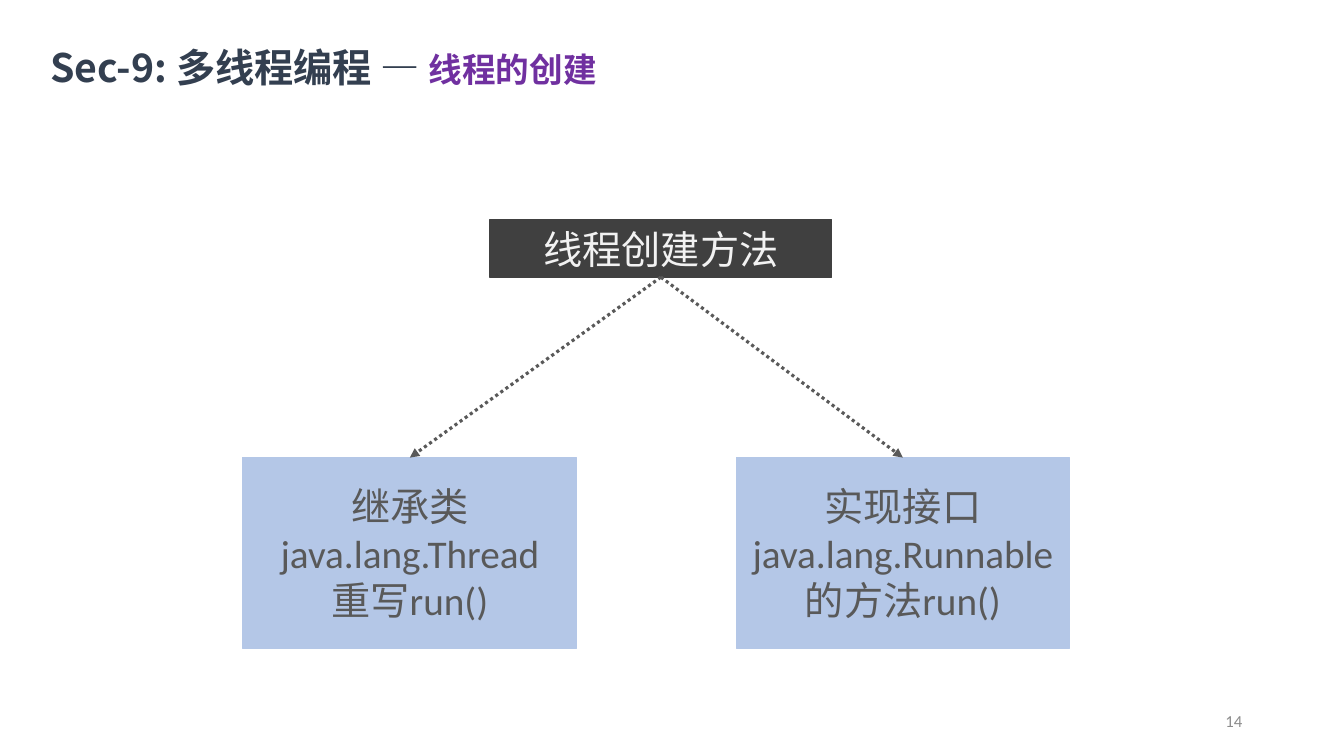
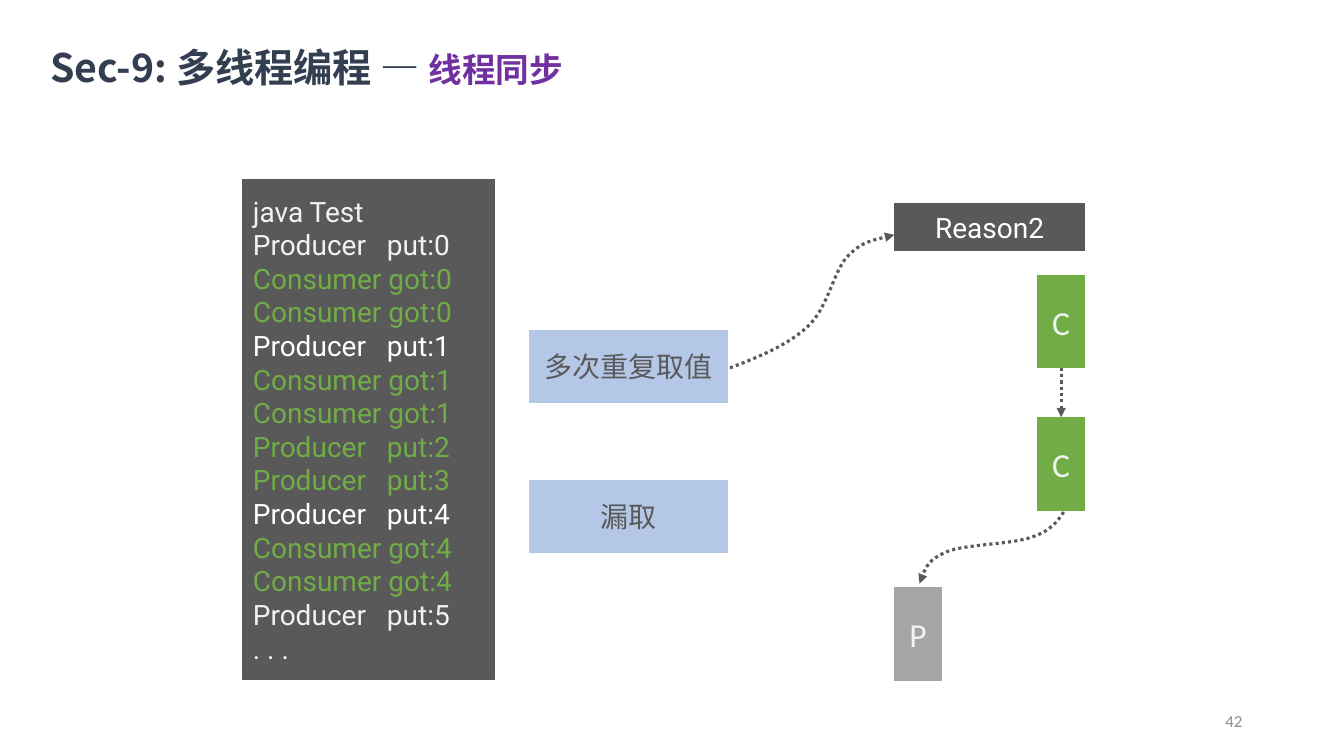
from pptx import Presentation
from pptx.dml.color import RGBColor
from pptx.enum.dml import MSO_LINE
from pptx.enum.shapes import MSO_CONNECTOR, MSO_SHAPE
from pptx.enum.text import MSO_ANCHOR, MSO_AUTO_SIZE, PP_ALIGN
from pptx.oxml.ns import qn
from pptx.util import Inches, Pt
from lxml.etree import SubElement

COLORS = {
    "navy": "333F50", "purple": "7030A0", "black": "404040", "dark": "595959",
    "blue": "B4C7E7", "green": "70AD47", "gray": "A5A5A5", "page": "8C8C8C",
    "pale": "F2F2F2", "white": "FFFFFF",
}
CJK, LATIN, CODE = "Noto Sans CJK SC", "Calibri", "Roboto"
TOP, LEFT, BOTTOM = 0, 1, 2  # connection sites of a rectangle

OUTPUT = [
    ("java Test", "pale"),
    ("Producer   put:0", "pale"),
    ("Consumer got:0", "green"),
    ("Consumer got:0", "green"),
    ("Producer   put:1", "white"),
    ("Consumer got:1", "green"),
    ("Consumer got:1", "green"),
    ("Producer   put:2", "green"),
    ("Producer   put:3", "green"),
    ("Producer   put:4", "white"),
    ("Consumer got:4", "green"),
    ("Consumer got:4", "green"),
    ("Producer   put:5", "pale"),
    (". . .", "pale"),
]


def rgb(name):
    return RGBColor.from_string(COLORS[name])


def set_font(font, name, size=None, color=None):
    font.name = name
    if size:
        font.size = Pt(size)
    if color:
        font.color.rgb = rgb(color)
    SubElement(font._element, qn("a:ea")).set("typeface", CJK)


def write_lines(tf, lines, font, size, align=PP_ALIGN.CENTER):
    """Fill a text frame with one paragraph for each (text, color) pair."""
    tf.word_wrap = True
    tf.vertical_anchor = MSO_ANCHOR.MIDDLE
    for i, (text, color) in enumerate(lines):
        p = tf.paragraphs[0] if i == 0 else tf.add_paragraph()
        p.text = text
        p.alignment = align
        set_font(p.font, font, size, color)
        for r in p.runs:
            set_font(r.font, font, size, color)


def add_box(s, box, fill, lines, font, size, align=PP_ALIGN.CENTER):
    sp = s.shapes.add_shape(MSO_SHAPE.RECTANGLE, *map(Inches, box))
    sp.shadow.inherit = False
    sp.fill.solid()
    sp.fill.fore_color.rgb = rgb(fill)
    sp.line.color.rgb = rgb(fill)
    sp.line.width = Pt(0.75)
    write_lines(sp.text_frame, lines, font, size, align)
    return sp


def style_arrow(sp):
    sp.line.color.rgb = rgb("dark")
    sp.line.width = Pt(2.25)
    sp.line.dash_style = MSO_LINE.ROUND_DOT
    props = sp._element.spPr
    SubElement(props.find(qn("a:ln")), qn("a:tailEnd")).set("type", "triangle")
    if props.find(qn("a:effectLst")) is None:
        SubElement(props, qn("a:effectLst"))


def add_arrow(s, start, end):
    """Draw a straight arrow from the bottom of one box to the top of another."""
    line = s.shapes.add_connector(MSO_CONNECTOR.STRAIGHT, 0, 0, 0, 0)
    line.begin_connect(start, BOTTOM)
    line.end_connect(end, TOP)
    style_arrow(line)


def add_curved_arrow(s, origin, points):
    """Draw Bezier curves; after the first, each three points make one curve."""
    x, y = origin
    start, *rest = [(Inches(x + dx), Inches(y + dy)) for dx, dy in points]
    builder = s.shapes.build_freeform(*start)
    builder.add_line_segments(rest, close=False)
    sp = builder.convert_to_shape()
    outline = sp._element.find(".//" + qn("a:path"))
    segments = outline.findall(qn("a:lnTo"))
    for i in range(0, len(segments), 3):
        curve = SubElement(outline, qn("a:cubicBezTo"))
        for segment in segments[i:i + 3]:
            curve.append(segment[0])
            outline.remove(segment)
    sp.fill.background()
    sp.shadow.inherit = False
    style_arrow(sp)


def add_slide(prs, topic, number):
    s = prs.slides.add_slide(prs.slide_layouts[5])
    title = s.shapes.title
    title.left, title.top, title.width, title.height = map(
        Inches, (0.5, 0.42, 6.48, 0.48))
    tf = title.text_frame
    tf.auto_size = MSO_AUTO_SIZE.NONE
    tf.vertical_anchor = MSO_ANCHOR.MIDDLE
    tf.margin_left = tf.margin_right = tf.margin_top = tf.margin_bottom = 0
    p = tf.paragraphs[0]
    p.alignment = PP_ALIGN.LEFT
    for text, size, color in (("Sec-9: 多线程编程 — ", 28, "navy"),
                              (topic, 24, "purple")):
        r = p.add_run()
        r.text = text
        r.font.bold = True
        set_font(r.font, CJK, size, color)
    page = s.shapes.add_textbox(*map(Inches, (9.42, 6.95, 3, 0.4)))
    write_lines(page.text_frame, [(number, "page")], LATIN, 12, PP_ALIGN.RIGHT)
    return s


def add_creation_tree(s, x, y):
    root = add_box(s, (x + 2.45, y, 3.39, 0.57), "black",
                   [("线程创建方法", "pale")], CJK, 28)
    methods = (("继承类", "java.lang.Thread", "重写run()"),
               ("实现接口", "java.lang.Runnable", "的方法run()"))
    for i, lines in enumerate(methods):
        method = add_box(s, (x + i * 4.89, y + 2.36, 3.31, 1.89), "blue",
                         [(text, "dark") for text in lines], LATIN, 28)
        add_arrow(s, root, method)


def add_problems(s, x, y):
    for i, text in enumerate(("多次重复取值", "漏取")):
        add_box(s, (x, y + i * 1.49, 1.97, 0.71), "blue",
                [(text, "dark")], CJK, 20)


def add_reason(s, x, y):
    """Show the reason label and the order in which the threads run."""
    add_box(s, (x, y, 1.89, 0.47), "dark", [("Reason2", "white")], CODE, 20)
    threads = (("C", "green", 1.42, 0.71), ("C", "green", 1.42, 2.12),
               ("P", "gray", 0, 3.81))
    first, second, _ = [
        add_box(s, (x + dx, y + dy, 0.47, 0.92), fill, [(name, "pale")], LATIN, 24)
        for name, fill, dx, dy in threads]
    add_arrow(s, first, second)
    add_curved_arrow(s, (x, y), [
        (-1.63, 1.63), (-1.34, 1.52), (-1.05, 1.4), (-0.86, 1.22),
        (-0.66, 1.04), (-0.61, 0.69), (-0.47, 0.53),
        (-0.33, 0.38), (-0.16, 0.35), (0, 0.31)])
    add_curved_arrow(s, (x, y), [
        (1.68, 3.06), (1.62, 3.15), (1.55, 3.25), (1.36, 3.31),
        (1.17, 3.38), (0.71, 3.38), (0.53, 3.45),
        (0.34, 3.53), (0.29, 3.65), (0.25, 3.77)])


def main():
    prs = Presentation()
    prs.slide_width, prs.slide_height = Inches(13.33), Inches(7.5)

    s = add_slide(prs, "线程的创建", "14")
    add_creation_tree(s, 2.41, 2.18)

    s = add_slide(prs, "线程同步", "42")
    add_box(s, (2.41, 1.78, 2.5, 4.96), "dark", OUTPUT, CODE, 20, PP_ALIGN.LEFT)
    add_problems(s, 5.25, 3.28)
    add_reason(s, 8.87, 2.02)

    prs.save("out.pptx")


if __name__ == "__main__":
    main()
